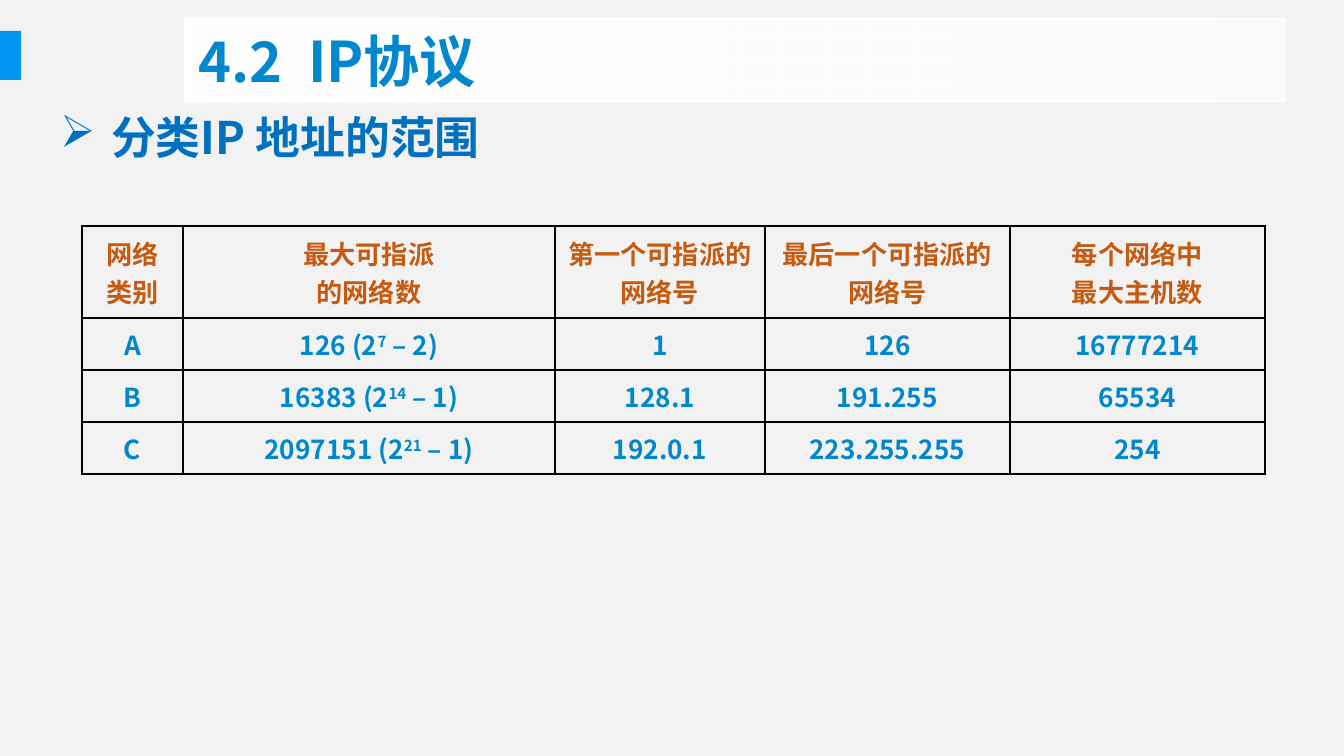
from dataclasses import dataclass

from lxml.etree import SubElement
from pptx import Presentation
from pptx.dml.color import RGBColor
from pptx.enum.shapes import MSO_SHAPE as Shape
from pptx.enum.text import MSO_ANCHOR as Anchor, MSO_AUTO_SIZE as Fit, PP_ALIGN as Align
from pptx.oxml import parse_xml
from pptx.oxml.ns import nsdecls, qn
from pptx.util import Pt

SCALE = 914400 / 134.4
FACE = "Noto Sans CJK SC"
PAPER = RGBColor(0xF2, 0xF2, 0xF2)
WHITE = RGBColor(0xFF, 0xFF, 0xFF)
ACCENT = RGBColor(0x00, 0x95, 0xF0)
SKY = RGBColor(0x00, 0x87, 0xCD)
BLUE = RGBColor(0x00, 0x70, 0xC0)
RUST = RGBColor(0xC5, 0x5A, 0x11)

COLS = (101, 372, 210, 245, 255)
ROWS = (92, 52, 52, 52)
HEADS = ("网络\n类别", "最大可指派\n的网络数", "第一个可指派的\n网络号",
         "最后一个可指派的\n网络号", "每个网络中\n最大主机数")


@dataclass(frozen=True)
class Box:
    """Place and size in px."""
    left: int
    top: int
    width: int
    height: int

    def emu(self) -> tuple[int, ...]:
        """Return the four lengths in EMU."""
        return tuple(map(px, (self.left, self.top, self.width, self.height)))


@dataclass(frozen=True)
class Net:
    """One address class with its count written as base, power and rest."""
    name: str
    count: tuple[str, str, str]
    first: str
    last: str
    hosts: str


NETS = (
    Net("A", ("126 (2", "7", " – 2)"), "1", "126", "16777214"),
    Net("B", ("16383 (2", "14", " – 1)"), "128.1", "191.255", "65534"),
    Net("C", ("2097151 (2", "21", " – 1)"), "192.0.1", "223.255.255", "254"),
)


def px(size: int) -> int:
    """Turn px into EMU."""
    return round(size * SCALE)


def assign(item, values: dict) -> None:
    """Set each named attribute."""
    for key, value in values.items():
        setattr(item, key, value)


def write(para, text: str, size: int, color: RGBColor, base: int = 0) -> None:
    """Add a bold run to a paragraph."""
    run = para.add_run()
    run.text = text
    assign(run.font, {"name": FACE, "size": Pt(size), "bold": True})
    run.font.color.rgb = color
    props = run.font._element
    SubElement(props, qn("a:ea"), typeface=FACE)
    if base:
        props.set("baseline", str(base * 1000))


def edge(cell) -> None:
    """Draw black lines on all sides of a cell."""
    props = cell._tc.get_or_add_tcPr()
    for spot, side in enumerate("LRTB"):
        props.insert(spot, parse_xml(
            f'<a:ln{side} {nsdecls("a")} w="{Pt(1)}"><a:solidFill>'
            f'<a:srgbClr val="000000"/></a:solidFill></a:ln{side}>'))


def fill_cell(cell, lines: list[tuple[str, ...]], color: RGBColor) -> None:
    """Write centred lines, with every second part raised."""
    assign(cell, {"vertical_anchor": Anchor.MIDDLE, "margin_left": px(9),
                  "margin_right": px(9), "margin_top": 0, "margin_bottom": 0})
    cell.fill.background()
    edge(cell)
    frame = cell.text_frame
    for spot, parts in enumerate(lines):
        para = frame.add_paragraph() if spot else frame.paragraphs[0]
        para.alignment = Align.CENTER
        for turn, part in enumerate(parts):
            write(para, part, 14, color, 30 * (turn % 2))


def add_grid(slide, box: Box) -> None:
    """Draw the table of address ranges."""
    table = slide.shapes.add_table(len(ROWS), len(COLS), *box.emu()).table
    assign(table, {"first_row": False, "horz_banding": False})
    for col, width in zip(table.columns, COLS):
        col.width = px(width)
    for row, height in zip(table.rows, ROWS):
        row.height = px(height)
    for spot, head in enumerate(HEADS):
        fill_cell(table.cell(0, spot), [(line,) for line in head.split("\n")], RUST)
    for line, net in enumerate(NETS, 1):
        values = ((net.name,), net.count, (net.first,), (net.last,), (net.hosts,))
        for spot, parts in enumerate(values):
            fill_cell(table.cell(line, spot), [parts], SKY)


def set_title(slide, box: Box) -> None:
    """Place the title on a fading white band."""
    title = slide.shapes.title
    assign(title, dict(zip(("left", "top", "width", "height"), box.emu())))
    title.fill.gradient()
    title.fill.gradient_angle = 0
    for stop in title.fill.gradient_stops:
        stop.color.rgb = WHITE
    tint = title._element.spPr.findall(".//" + qn("a:srgbClr"))[-1]
    SubElement(tint, qn("a:alpha"), val="67000")
    frame = title.text_frame
    assign(frame, {"word_wrap": True, "auto_size": Fit.NONE,
                   "vertical_anchor": Anchor.MIDDLE})
    para = frame.paragraphs[0]
    para.alignment = Align.LEFT
    write(para, "4.2  IP协议", 30, SKY)


def add_topic(slide, box: Box) -> None:
    """Add the bulleted topic line."""
    frame = slide.shapes.add_textbox(*box.emu()).text_frame
    assign(frame, {"word_wrap": True, "auto_size": Fit.SHAPE_TO_FIT_TEXT})
    para = frame.paragraphs[0]
    props = para._p.get_or_add_pPr()
    assign(props, {"algn": Align.LEFT})
    props.set("marL", str(px(51)))
    props.set("indent", str(-px(51)))
    SubElement(props, qn("a:buChar"), char="➢")
    write(para, "分类IP 地址的范围", 24, BLUE)


def add_mark(slide, box: Box) -> None:
    """Add the accent block at the left edge."""
    mark = slide.shapes.add_shape(Shape.RECTANGLE, *box.emu())
    mark.shadow.inherit = False
    mark.fill.solid()
    mark.fill.fore_color.rgb = ACCENT
    mark.line.fill.background()


def main() -> None:
    """Build and save the slide."""
    deck = Presentation()
    assign(deck, {"slide_width": px(1344), "slide_height": px(756)})
    slide = deck.slides.add_slide(deck.slide_layouts[5])
    slide.background.fill.solid()
    slide.background.fill.fore_color.rgb = PAPER
    add_mark(slide, Box(-1, 31, 22, 49))
    add_grid(slide, Box(82, 226, sum(COLS), sum(ROWS)))
    set_title(slide, Box(185, 18, 1101, 85))
    add_topic(slide, Box(47, 103, 1238, 67))
    deck.save("out.pptx")


if __name__ == "__main__":
    main()
